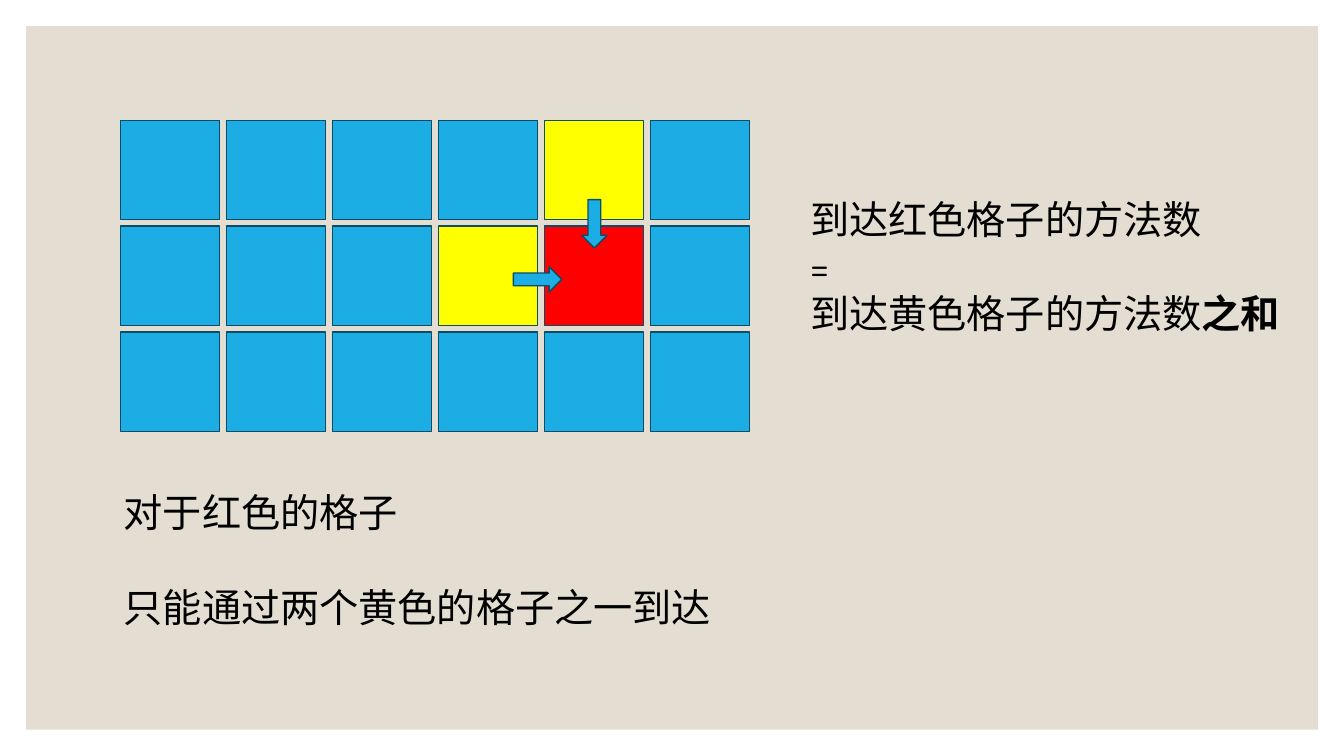
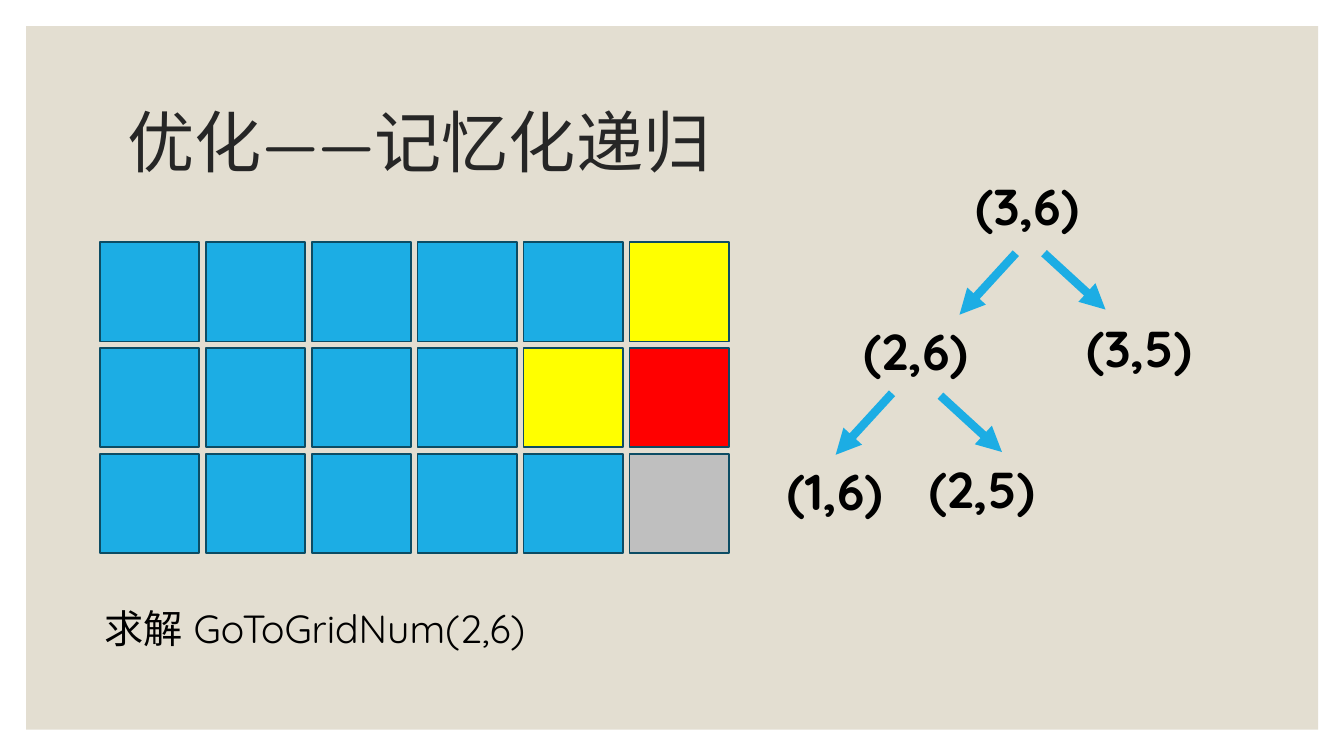
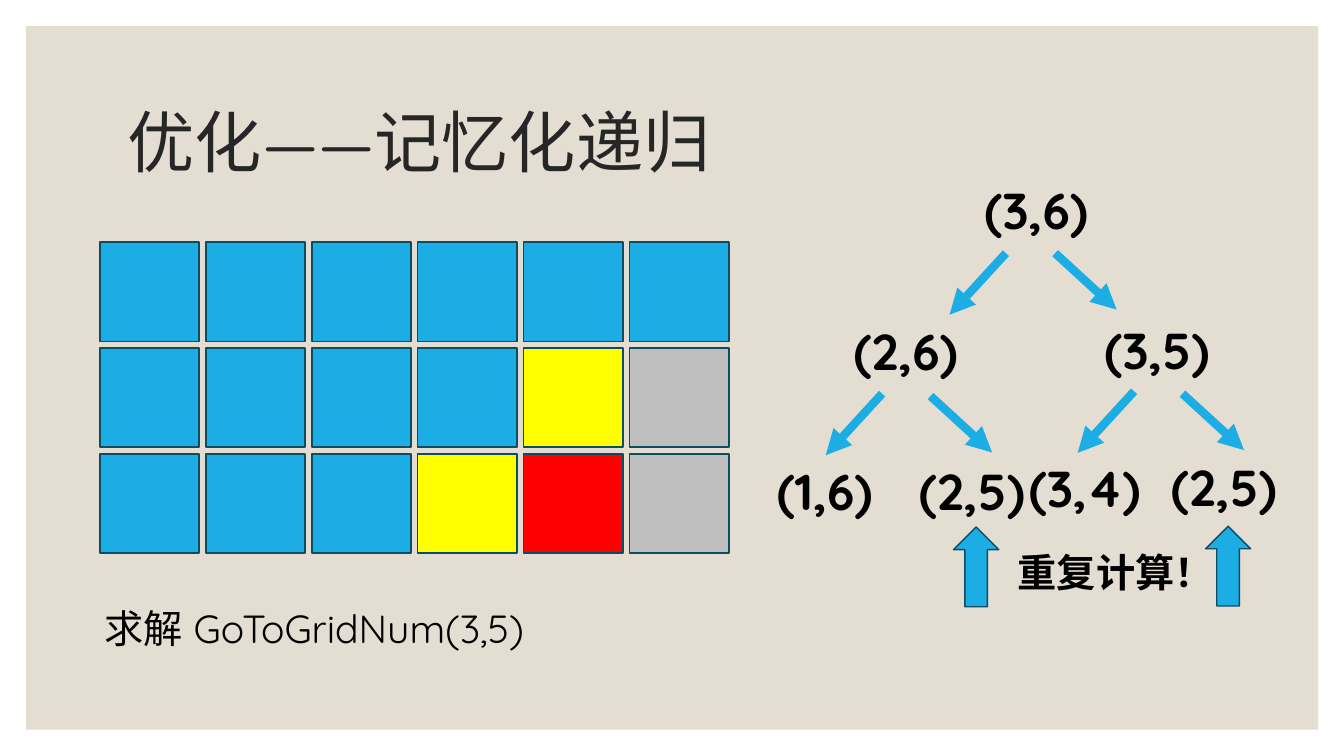
"""Build three slides on counting grid paths with memoised recursion."""
from lxml import etree
from pptx import Presentation
from pptx.dml.color import RGBColor
from pptx.enum import shapes, text
from pptx.oxml import ns
from pptx.util import Cm, Pt

FONT = "Quicksand"
PANEL = RGBColor(0xE3, 0xDE, 0xD1)
BLUE = RGBColor(0x1C, 0xAD, 0xE4)
NAVY = RGBColor(0x0C, 0x4C, 0x64)
YELLOW = RGBColor(0xFF, 0xFF, 0x00)
RED = RGBColor(0xFF, 0x00, 0x00)
GREY = RGBColor(0xBF, 0xBF, 0xBF)
BLACK = RGBColor(0x00, 0x00, 0x00)
CHARCOAL = RGBColor(0x26, 0x26, 0x26)
CELL_FILLS = {"B": BLUE, "Y": YELLOW, "R": RED, "G": GREY}

CELL, PITCH = 2.5, 2.67
ROOT_WIDTH, NODE_WIDTH, NODE_HEIGHT = 3.15, 4.9, 1.8
LEFT_BRANCH, RIGHT_BRANCH = (-1.42, 1.55), (1.55, 1.42)

BODY = {"size": Pt(28), "bold": False}
STRONG = {"size": Pt(28), "bold": True}
NODE = {"size": Pt(36), "bold": True}
TITLE = {"size": Pt(48), "bold": False}

TITLE_TEXT = "优化——记忆化递归"
TITLE_PLACE = (2.97, 1.78, 27.94, 3.81)
QUESTION_PLACE = (2.39, 15.11, 13.41, 1.45)

INTRO = {
    "origin": (3.04, 3.03),
    "rows": ["BBBBYB", "BBBYRB", "BBBBBB"],
    "texts": [
        ((2.87, 12.19, 20.96, 3.84),
         [[("对于红色的格子", BODY)], [("只能通过两个黄色的格子之一到达", BODY)]], Pt(34)),
        ((20.17, 4.8, 13.41, 3.84),
         [[("到达红色格子的方法数", BODY)], [("=", BODY)],
          [("到达黄色格子的方法数", BODY), ("之和", STRONG)]], Pt(0)),
    ],
    "arrows": [("DOWN_ARROW", (14.66, 5.03, 0.64, 1.22), 0),
               ("DOWN_ARROW", (13.23, 6.43, 0.64, 1.22), 270)],
}
SOLVE_2_6 = {
    "title": TITLE_TEXT,
    "origin": (2.52, 6.1),
    "rows": ["BBBBBY", "BBBBYR", "BBBBBG"],
    "texts": [(QUESTION_PLACE, [[("求解 GoToGridNum(2,6)", BODY)]], Pt(0))],
    "nodes": [("(3,6)", 24.33, 4.29), ("(2,6)", 21.51, 7.95), ("(3,5)", 27.13, 7.87),
              ("(1,6)", 19.58, 11.46), ("(2,5)", 23.16, 11.43)],
    "forks": [(25.6, 6.38, 0.71, 0), (22.48, 9.91, 1.22, 0.06)],
}
SOLVE_3_5 = {
    "title": TITLE_TEXT,
    "origin": (2.52, 6.1),
    "rows": ["BBBBBB", "BBBBYG", "BBBYRG"],
    "texts": [(QUESTION_PLACE, [[("求解 GoToGridNum(3,5)", BODY)]], Pt(0)),
              ((25.4, 13.69, 6.63, 1.45), [[("重复计算！", STRONG)]], Pt(0))],
    "nodes": [("(3,6)", 24.56, 4.39), ("(2,6)", 21.26, 7.95), ("(3,5)", 27.58, 7.92),
              ("(1,6)", 19.33, 11.48), ("(2,5)", 22.91, 11.46),
              ("(3,4)", 25.68, 11.4), ("(2,5)", 29.26, 11.38)],
    "forks": [(25.35, 6.38, 1.24, 0), (22.23, 9.92, 1.22, 0.06), (28.58, 9.86, 1.22, 0.06)],
    "arrows": [("UP_ARROW", (24.03, 13.28, 1.14, 2.01), 0),
               ("UP_ARROW", (30.38, 13.26, 1.14, 2.01), 0)],
}


def add_block(page, kind, place, fill, outline=NAVY):
    block = page.shapes.add_shape(getattr(shapes.MSO_SHAPE, kind), *map(Cm, place))
    block.shadow.inherit = False
    block.fill.solid()
    block.fill.fore_color.rgb = fill
    if outline is None:
        block.line.fill.background()
    else:
        block.line.color.rgb = outline
        block.line.width = Pt(1)
    return block


def add_text(page, place, paragraphs, gap=Pt(0), color=BLACK):
    box = page.shapes.add_textbox(*map(Cm, place))
    frame = box.text_frame
    frame.word_wrap = True
    frame.auto_size = text.MSO_AUTO_SIZE.SHAPE_TO_FIT_TEXT
    for index, spans in enumerate(paragraphs):
        para = frame.add_paragraph() if index else frame.paragraphs[0]
        para.space_before = gap if index else Pt(0)
        for words, style in spans:
            span = para.add_run()
            span.text = words
            for name, value in {"name": FONT, **style}.items():
                setattr(span.font, name, value)
            span.font.color.rgb = color
            etree.SubElement(span.font._element, ns.qn("a:ea"), typeface=FONT)
    return frame


def add_title(page, words):
    frame = add_text(page, TITLE_PLACE, [[(words, TITLE)]], color=CHARCOAL)
    frame.auto_size = text.MSO_AUTO_SIZE.NONE
    frame.vertical_anchor = text.MSO_ANCHOR.MIDDLE
    frame.paragraphs[0].line_spacing = 0.9


def add_grid(page, origin, rows):
    left, top = origin
    for row, codes in enumerate(rows):
        for column, code in enumerate(codes):
            place = (left + column * PITCH, top + row * PITCH, CELL, CELL)
            add_block(page, "RECTANGLE", place, CELL_FILLS[code])


def add_branch(page, x, y, branch):
    ends = (x, y, x + branch[0], y + branch[1])
    line = page.shapes.add_connector(shapes.MSO_CONNECTOR.STRAIGHT, *map(Cm, ends))
    line.line.color.rgb = BLUE
    line.line.width = Pt(6)
    properties = line._element.spPr
    etree.SubElement(properties.find(ns.qn("a:ln")), ns.qn("a:tailEnd"), type="triangle")
    etree.SubElement(properties, ns.qn("a:effectLst"))


def add_tree(page, nodes, forks):
    for x, y, gap_x, gap_y in forks:
        add_branch(page, x, y, LEFT_BRANCH)
        add_branch(page, x + gap_x, y + gap_y, RIGHT_BRANCH)
    for index, (label, left, top) in enumerate(nodes):
        width = NODE_WIDTH if index else ROOT_WIDTH
        add_text(page, (left, top, width, NODE_HEIGHT), [[(label, NODE)]])


def build_page(deck, content):
    page = deck.slides.add_slide(deck.slide_layouts[6])
    add_block(page, "RECTANGLE", (0.66, 0.66, 32.56, 17.73), PANEL, None)
    if "title" in content:
        add_title(page, content["title"])
    add_grid(page, content["origin"], content["rows"])
    for place, paragraphs, gap in content["texts"]:
        add_text(page, place, paragraphs, gap)
    add_tree(page, content.get("nodes", []), content.get("forks", []))
    for kind, place, rotation in content.get("arrows", []):
        add_block(page, kind, place, BLUE).rotation = rotation


def main():
    deck = Presentation()
    deck.slide_width, deck.slide_height = Cm(33.87), Cm(19.05)
    for content in (INTRO, SOLVE_2_6, SOLVE_3_5):
        build_page(deck, content)
    deck.save("out.pptx")


if __name__ == "__main__":
    main()
